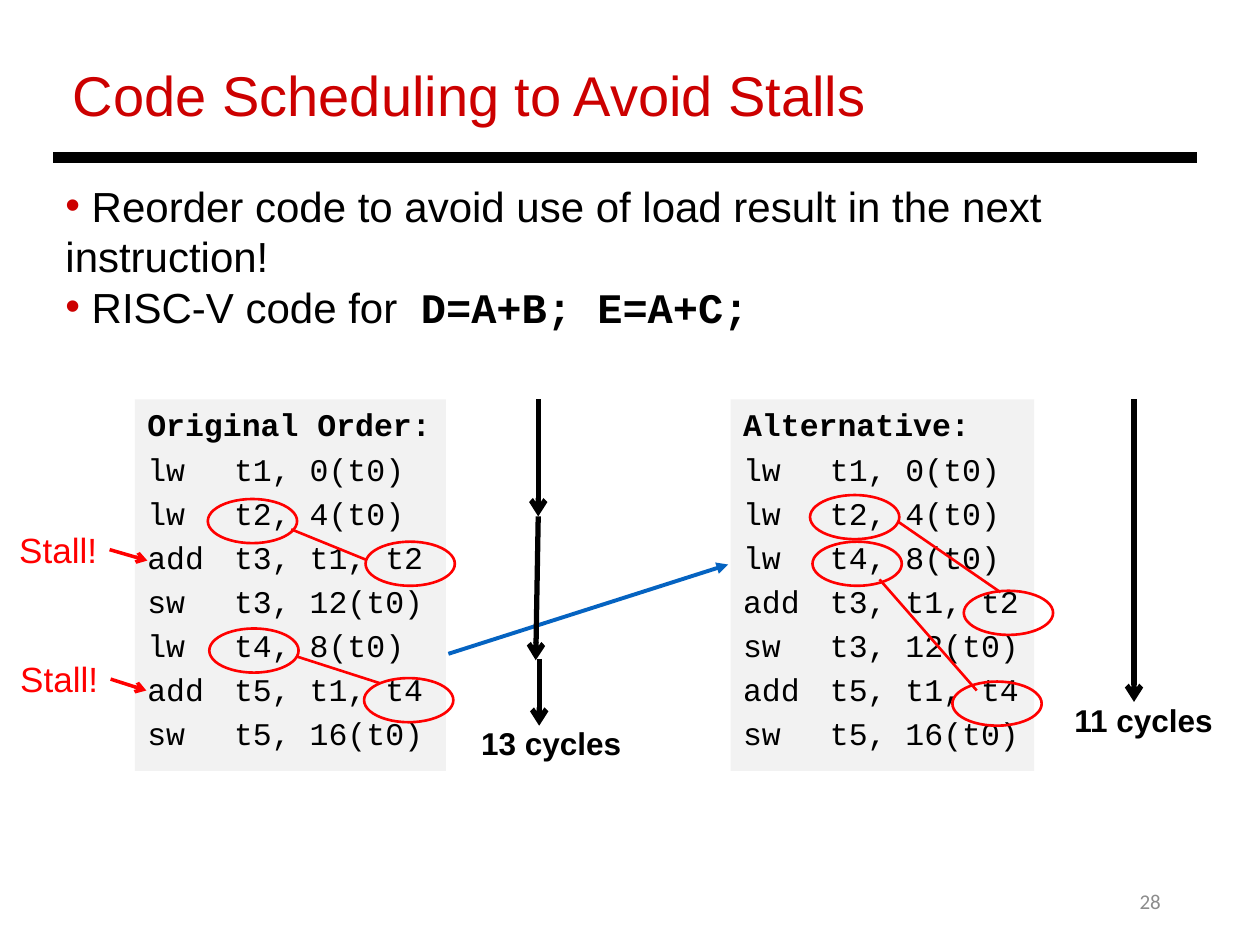
from dataclasses import dataclass

from lxml import etree
from pptx import Presentation
from pptx.dml.color import RGBColor
from pptx.enum import shapes, text
from pptx.oxml import ns
from pptx.util import Cm, Pt


@dataclass(frozen=True)
class Theme:
    black: str = "000000"
    title_red: str = "CC0000"
    mark_red: str = "FF0000"
    blue: str = "0563C1"
    panel: str = "F2F2F2"
    gray: str = "8C8C8C"
    sans: str = "Arial"
    mono: str = "Courier New"
    footer: str = "Calibri"
    title_size: float = 32
    body_size: float = 24
    stall_size: float = 20
    code_size: float = 18
    number_size: float = 12


THEME = Theme()


@dataclass(frozen=True)
class Frame:
    left: float
    top: float
    width: float
    height: float

    def lengths(self) -> tuple:
        return Cm(self.left), Cm(self.top), Cm(self.width), Cm(self.height)


@dataclass(frozen=True)
class Arrow:
    start: tuple
    end: tuple
    color: str = THEME.black
    weight: float = 3
    head: str = "arrow"


@dataclass(frozen=True)
class Listing:
    frame: Frame
    lines: tuple


@dataclass(frozen=True)
class Dependency:
    """Two circled registers and the line that links them."""
    producer: tuple
    consumer: tuple
    start: tuple
    end: tuple


LISTINGS = (
    Listing(Frame(2.72, 8.05, 6.27, 7.49),
            ("Original Order:", "lw\tt1, 0(t0)", "lw\tt2, 4(t0)", "add\tt3, t1, t2",
             "sw\tt3, 12(t0)", "lw\tt4, 8(t0)", "add\tt5, t1, t4", "sw\tt5, 16(t0)")),
    Listing(Frame(14.73, 8.05, 6.12, 7.49),
            ("Alternative:", "lw\tt1, 0(t0)", "lw\tt2, 4(t0)", "lw\tt4, 8(t0)",
             "add\tt3, t1, t2", "sw\tt3, 12(t0)", "add\tt5, t1, t4", "sw\tt5, 16(t0)")),
)
MOVE = Arrow((9.04, 13.18), (14.68, 11.38), THEME.blue, 2.25, "triangle")
DEPENDENCIES = (
    Dependency((4.19, 10.06), (7.37, 10.92), (5.87, 10.67), (7.37, 11.28)),
    Dependency((4.22, 12.67), (7.34, 13.67), (5.97, 13.23), (7.65, 13.77)),
    Dependency((16.33, 9.98), (19.43, 11.91), (18.11, 10.52), (20.17, 11.94)),
    Dependency((16.38, 10.92), (19.2, 13.74), (17.73, 11.68), (19.69, 13.92)),
)
STALLS = (
    (Frame(0.13, 10.52, 2.08, 1.12), (2.97, 11.3)),
    (Frame(0.15, 13.13, 2.08, 1.12), (2.95, 13.92)),
)
TIMELINE = (
    Arrow((10.85, 8.05), (10.85, 10.41)),
    Arrow((10.85, 10.41), (10.8, 13.31)),
    Arrow((10.87, 13.28), (10.87, 14.63)),
    Arrow((22.86, 8.05), (22.86, 14.15)),
)
CYCLES = (
    ("13 cycles", Frame(9.45, 14.48, 3.35, 1.02)),
    ("11 cycles", Frame(21.41, 14, 3.35, 1.02)),
)


def style(font, size: float, color: str, name: str = THEME.sans, bold: bool = False) -> None:
    font.size, font.name, font.bold = Pt(size), name, bold
    font.color.rgb = RGBColor.from_string(color)


def add_label(page, frame: Frame, words: str, size: float, color: str,
              name: str = THEME.sans, bold: bool = False, wrap: bool = True,
              align=text.PP_ALIGN.LEFT):
    box = page.shapes.add_textbox(*frame.lengths())
    box.text_frame.word_wrap = wrap
    box.text_frame.text = words
    for para in box.text_frame.paragraphs:
        para.alignment = align
        for span in para.runs:
            style(span.font, size, color, name, bold)
    return box


def add_line(page, arrow: Arrow):
    line = page.shapes.add_connector(
        shapes.MSO_CONNECTOR.STRAIGHT, *map(Cm, arrow.start + arrow.end))
    line.line.color.rgb = RGBColor.from_string(arrow.color)
    line.line.width = Pt(arrow.weight)
    if arrow.head:
        etree.SubElement(line.line._get_or_add_ln(), ns.qn("a:tailEnd"), type=arrow.head)
    etree.SubElement(line._element.spPr, ns.qn("a:effectLst"))
    return line


def add_bullet(para) -> None:
    properties = para._p.get_or_add_pPr()
    color = etree.SubElement(properties, ns.qn("a:buClr"))
    etree.SubElement(color, ns.qn("a:srgbClr"), val=THEME.title_red)
    etree.SubElement(properties, ns.qn("a:buFont"), typeface=THEME.sans)
    etree.SubElement(properties, ns.qn("a:buChar"), char="•")


def add_body(page) -> None:
    box = add_label(page, Frame(1.07, 3.51, 23.57, 3.33),
                    " Reorder code to avoid use of load result in the next instruction!\n"
                    " RISC-V code for  ", THEME.body_size, THEME.black)
    for para in box.text_frame.paragraphs:
        add_bullet(para)
    span = box.text_frame.paragraphs[-1].add_run()
    span.text = "D=A+B; E=A+C;"
    style(span.font, THEME.body_size, THEME.black, THEME.mono, True)


def add_listing(page, listing: Listing) -> None:
    panel = page.shapes.add_shape(shapes.MSO_SHAPE.RECTANGLE, *listing.frame.lengths())
    panel.shadow.inherit = False
    panel.fill.solid()
    panel.fill.fore_color.rgb = RGBColor.from_string(THEME.panel)
    panel.line.fill.background()
    frame = panel.text_frame
    frame.word_wrap = False
    frame.vertical_anchor = text.MSO_ANCHOR.TOP
    frame.text = "\n".join(listing.lines)
    for row, para in enumerate(frame.paragraphs):
        para.alignment = text.PP_ALIGN.LEFT
        para.space_before = Pt(0.2 * THEME.code_size if row else 0)
        tabs = etree.SubElement(para._p.get_or_add_pPr(), ns.qn("a:tabLst"))
        etree.SubElement(tabs, ns.qn("a:tab"), pos=str(Cm(1.75)), algn="l")
        for span in para.runs:
            style(span.font, THEME.code_size, THEME.black, THEME.mono, row == 0)


def add_dependency(page, dependency: Dependency) -> None:
    for corner in (dependency.producer, dependency.consumer):
        ring = page.shapes.add_shape(
            shapes.MSO_SHAPE.OVAL, *Frame(*corner, 1.8, 0.89).lengths())
        ring.shadow.inherit = False
        ring.fill.background()
        ring.line.color.rgb = RGBColor.from_string(THEME.mark_red)
        ring.line.width = Pt(1.5)
    add_line(page, Arrow(dependency.start, dependency.end, THEME.mark_red, 1.5, ""))


def add_stall(page, frame: Frame, target: tuple) -> None:
    box = add_label(page, frame, "Stall!", THEME.stall_size, THEME.mark_red,
                    align=text.PP_ALIGN.RIGHT)
    start = (frame.left + frame.width, frame.top + frame.height / 2)
    add_line(page, Arrow(start, target, THEME.mark_red, 2)).begin_connect(box, 3)


def main() -> None:
    deck = Presentation()
    deck.slide_width, deck.slide_height = Cm(25.4), Cm(19.05)
    page = deck.slides.add_slide(deck.slide_layouts[6])

    number = add_label(page, Frame(17.93, 17.65, 5.72, 1.02), "28", THEME.number_size,
                       THEME.gray, THEME.footer, align=text.PP_ALIGN.RIGHT)
    number.text_frame.vertical_anchor = text.MSO_ANCHOR.MIDDLE
    add_label(page, Frame(1.22, 1.09, 22.3, 1.63), "Code Scheduling to Avoid Stalls",
              THEME.title_size, THEME.title_red)
    add_line(page, Arrow((1.07, 3.18), (24.13, 3.18), weight=6, head=""))
    add_body(page)
    for listing in LISTINGS:
        add_listing(page, listing)
    add_line(page, MOVE)
    for dependency in DEPENDENCIES:
        add_dependency(page, dependency)
    for frame, target in STALLS:
        add_stall(page, frame, target)
    for arrow in TIMELINE:
        add_line(page, arrow)
    for words, frame in CYCLES:
        add_label(page, frame, words, THEME.code_size, THEME.black, bold=True, wrap=False)

    deck.save("out.pptx")


if __name__ == "__main__":
    main()
